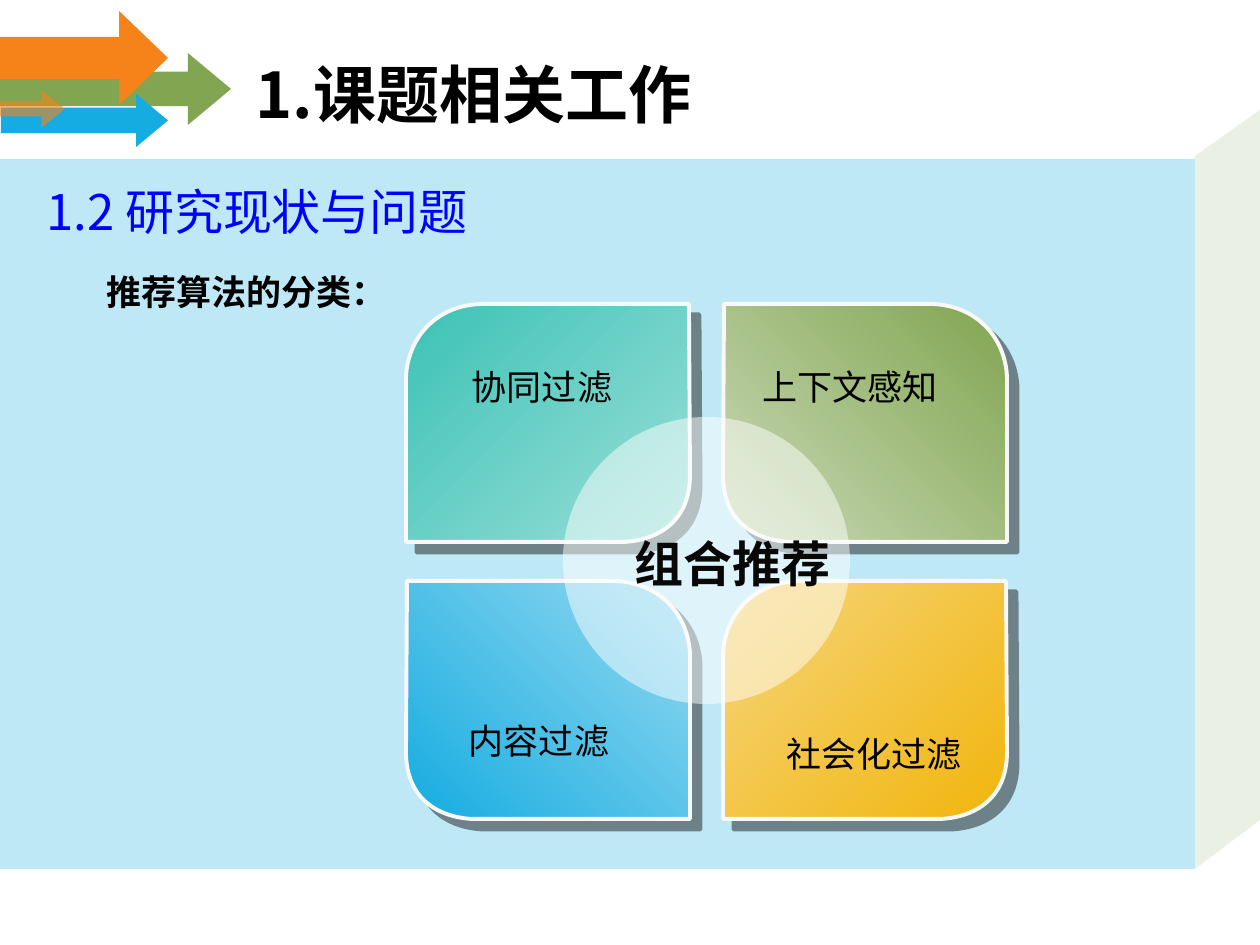
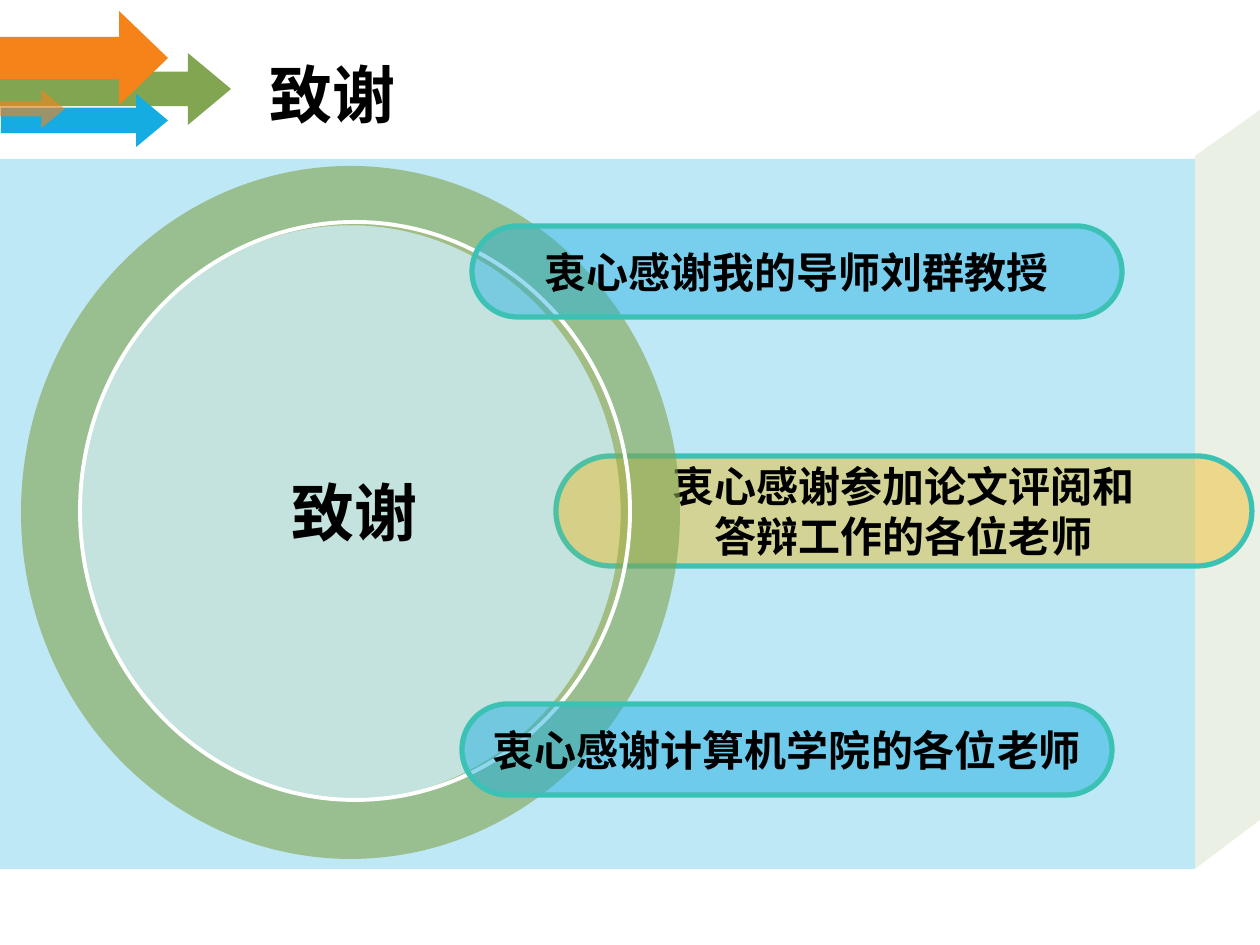
from dataclasses import dataclass

from lxml import etree
from pptx import Presentation
from pptx.dml.color import RGBColor
from pptx.enum.shapes import MSO_SHAPE
from pptx.enum.text import MSO_ANCHOR, MSO_AUTO_SIZE, PP_ALIGN
from pptx.oxml.ns import qn
from pptx.util import Emu, Pt

RECTANGLE = MSO_SHAPE.RECTANGLE
RIGHT_ARROW = MSO_SHAPE.RIGHT_ARROW
OVAL = MSO_SHAPE.OVAL
DONUT = MSO_SHAPE.DONUT
PILL = MSO_SHAPE.ROUNDED_RECTANGLE
LEFT, CENTER = PP_ALIGN.LEFT, PP_ALIGN.CENTER
TOP, MIDDLE = MSO_ANCHOR.TOP, MSO_ANCHOR.MIDDLE
NO_AUTOFIT = MSO_AUTO_SIZE.NONE

PX = 914400 / 126
TITLE_ONLY = 5


@dataclass(frozen=True)
class Theme:
    heading_font: str = "Noto Sans CJK SC"
    body_font: str = "Arial"
    title_size: int = 36
    section_size: int = 28
    pill_size: int = 24
    label_size: int = 20
    black: str = "000000"
    white: str = "FFFFFF"
    section: str = "0000FF"
    hub_text: str = "080808"
    hub: str = "FEFFFF"
    petal_line: str = "F8F8F8"
    shadow: str = "1C1C1C"
    green: str = "81A551"
    orange: str = "F6831A"
    blue: str = "15ACE1"
    teal: str = "3CC2B5"
    gold: str = "F1B50D"
    light_teal: str = "9CDFD9"
    light_green: str = "CBDAB8"
    light_blue: str = "97D9F0"
    light_gold: str = "F6D67C"


THEME = Theme()

# Template: boxes are left, top, width, height in px
PANEL = (0, 159, 1195, 710)
PANEL_SIDE = [(1195, 156), (1260, 110), (1260, 820), (1195, 869)]
ARROWS = [  # box, shaft and head proportions, colour, opacity
    ((0, 53, 231, 72), (0.48, 0.6), THEME.green, 100),
    ((0, 11, 168, 94), (0.45, 0.52), THEME.orange, 100),
    ((1, 94, 167, 53), (0.48, 0.6), THEME.blue, 100),
    ((0, 90, 65, 38), (0.39, 0.62), THEME.orange, 60),
]

# Slide 1
RELATED_WORK = "1.课题相关工作"
SECTION = "1.2 研究现状与问题"
CLASSES_HEADING = "推荐算法的分类："
HUB = "组合推荐"
PETALS = [  # label, label position, first and last gradient colour
    ("协同过滤", (433, 359), THEME.teal, THEME.light_teal),
    ("上下文感知", (741, 359), THEME.green, THEME.light_green),
    ("内容过滤", (430, 713), THEME.light_blue, THEME.blue),
    ("社会化过滤", (765, 726), THEME.light_gold, THEME.gold),
]
PETAL_ORIGIN, PETAL_PITCH, PETAL_WIDTH = (406, 304), (317, 277), 284
PETAL_EDGES = [  # one point ends a straight edge, three make a curve
    [(0, 74)],
    [(1, 35), (30, 0), (78, 0)],
    [(283, 0)],
    [(284, 171)],
    [(284, 217), (253, 236), (218, 238)],
]
PETAL_START = (0, 238)

# Slide 2
THANKS = "致谢"
RING = (21, 166, 659, 693)
DISC = (80, 222, 550, 578)
TEACHERS_PILL = (["衷心感谢参加论文评阅和", "答辩工作的各位老师"],
                 (556, 456, 696, 110), THEME.gold, 41)
FRONT_PILLS = [
    (["衷心感谢我的导师刘群教授"], (472, 226, 650, 91), THEME.blue, 42),
    (["衷心感谢计算机学院的各位老师"], (462, 704, 650, 91), THEME.blue, 47),
]


def px(*lengths):
    return [Emu(round(length * PX)) for length in lengths]


def paint(shape, color, opacity=100, line=None, line_width=0):
    shape.shadow.inherit = False
    shape.fill.solid()
    shape.fill.fore_color.rgb = RGBColor.from_string(color)
    if opacity < 100:
        rgb = shape.element.spPr.find(qn("a:solidFill")).find(qn("a:srgbClr"))
        etree.SubElement(rgb, qn("a:alpha"), val=str(opacity * 1000))
    outline(shape, line, line_width)


def outline(shape, color, width):
    if color is None:
        shape.line.fill.background()
        return
    shape.line.color.rgb = RGBColor.from_string(color)
    shape.line.width = Pt(width)


def add_preset(slide, kind, box, color, adjustments=(), **paint_options):
    shape = slide.shapes.add_shape(kind, *px(*box))
    for index, value in enumerate(adjustments):
        shape.adjustments[index] = value
    paint(shape, color, **paint_options)
    return shape


def add_outline(slide, points):
    builder = slide.shapes.build_freeform(*px(*points[0]))
    builder.add_line_segments([px(*point) for point in points[1:]], close=True)
    return builder.convert_to_shape()


def write(shape, *lines, size, font=THEME.body_font, color=THEME.black, bold=False,
          align=LEFT, anchor=TOP, wrap=True):
    frame = shape.text_frame
    frame.auto_size = NO_AUTOFIT
    frame.word_wrap = wrap
    frame.vertical_anchor = anchor
    for index, line in enumerate(lines):
        paragraph = frame.add_paragraph() if index else frame.paragraphs[0]
        paragraph.alignment = align
        run = paragraph.add_run()
        run.text = line
        run.font.name = font
        run.font.size = Pt(size)
        run.font.bold = bold
        run.font.color.rgb = RGBColor.from_string(color)
    for latin in list(shape.element.iter(qn("a:latin"))):
        latin.addnext(latin.makeelement(qn("a:ea"), typeface=font))


def add_text(slide, box, text, **text_format):
    write(slide.shapes.add_textbox(*px(*box)), text, **text_format)


def add_title(slide, text, left, width):
    title = slide.shapes.title
    title.left, title.top, title.width, title.height = px(left, 49, width, 88)
    write(title, text, size=THEME.title_size, font=THEME.heading_font, bold=True)


def decorate_layout(layout, slide):
    """Draw the shared parts on a slide, then move them to its layout."""
    side = add_outline(slide, PANEL_SIDE)
    paint(side, THEME.green, opacity=16)
    parts = [side, add_preset(slide, RECTANGLE, PANEL, THEME.blue, opacity=27)]
    for box, proportions, color, opacity in ARROWS:
        parts.append(add_preset(slide, RIGHT_ARROW, box, color, proportions,
                                opacity=opacity))
    for part in parts:
        layout.shapes.element.append(part.element)


def bend_edges(shape, edges):
    """Join the three straight segments of each curved edge into one Bezier."""
    segments = iter(list(shape.element.iter(qn("a:lnTo"))))
    for edge in edges:
        group = [next(segments) for _ in edge]
        if len(group) == 3:
            curve = group[0].makeelement(qn("a:cubicBezTo"))
            group[0].addprevious(curve)
            for segment in group:
                curve.append(segment[0])
                segment.getparent().remove(segment)


def add_petal(slide, row, column, first_color, last_color):
    mirrored = row != column
    left = PETAL_ORIGIN[0] + column * PETAL_PITCH[0]
    top = PETAL_ORIGIN[1] + row * PETAL_PITCH[1]
    points = [PETAL_START] + sum(PETAL_EDGES, [])
    petal = add_outline(slide, [
        (left + (PETAL_WIDTH - x if mirrored else x), top + y) for x, y in points])
    bend_edges(petal, PETAL_EDGES)
    petal.fill.gradient()
    petal.fill.gradient_angle = 225 if mirrored else 315
    for stop, color in zip(petal.fill.gradient_stops, (first_color, last_color)):
        stop.color.rgb = RGBColor.from_string(color)
    outline(petal, THEME.petal_line, 2.25)
    petal.shadow.inherit = False
    effects = petal.element.spPr.find(qn("a:effectLst"))
    shadow = etree.SubElement(effects, qn("a:outerShdw"), blurRad="0",
                              dist=str(Pt(8.5)), dir="2700000", algn="ctr",
                              rotWithShape="0")
    rgb = etree.SubElement(shadow, qn("a:srgbClr"), val=THEME.shadow)
    etree.SubElement(rgb, qn("a:alpha"), val="50000")


def build_related_work(slide):
    add_title(slide, RELATED_WORK, 243, 591)
    add_text(slide, (34, 175, 645, 72), SECTION, size=THEME.section_size,
             font=THEME.heading_font, color=THEME.section)
    for index, (_, _, first_color, last_color) in enumerate(PETALS):
        add_petal(slide, *divmod(index, 2), first_color, last_color)
    add_preset(slide, OVAL, (563, 417, 287, 287), THEME.hub, opacity=50)
    for label, position, _, _ in PETALS:
        add_text(slide, (*position, 218, 55), label, size=THEME.label_size,
                 align=CENTER)
    add_text(slide, (622, 527, 221, 72), HUB, size=THEME.section_size,
             color=THEME.hub_text, bold=True, wrap=False)
    add_text(slide, (94, 264, 318, 55), CLASSES_HEADING, size=THEME.label_size,
             font=THEME.heading_font, bold=True)


def add_pill(slide, lines, box, color, opacity):
    pill = add_preset(slide, PILL, box, color, [0.5], opacity=opacity,
                      line=THEME.teal, line_width=3)
    write(pill, *lines, size=THEME.pill_size, bold=True, align=CENTER,
          anchor=MIDDLE, wrap=False)


def build_thanks(slide):
    add_title(slide, THANKS, 257, 829)
    add_pill(slide, *TEACHERS_PILL)
    add_preset(slide, DONUT, RING, THEME.green, [0.09], opacity=61)
    disc = add_preset(slide, OVAL, DISC, THEME.gold, opacity=10,
                      line=THEME.white, line_width=2.25)
    write(disc, THANKS, size=THEME.title_size, bold=True, align=CENTER,
          anchor=MIDDLE, wrap=False)
    for pill in FRONT_PILLS:
        add_pill(slide, *pill)


def main():
    presentation = Presentation()
    presentation.slide_width, presentation.slide_height = px(1260, 945)
    layout = presentation.slide_layouts[TITLE_ONLY]
    slides = [presentation.slides.add_slide(layout) for _ in range(2)]
    decorate_layout(layout, slides[0])
    build_related_work(slides[0])
    build_thanks(slides[1])
    presentation.save("out.pptx")


if __name__ == "__main__":
    main()
